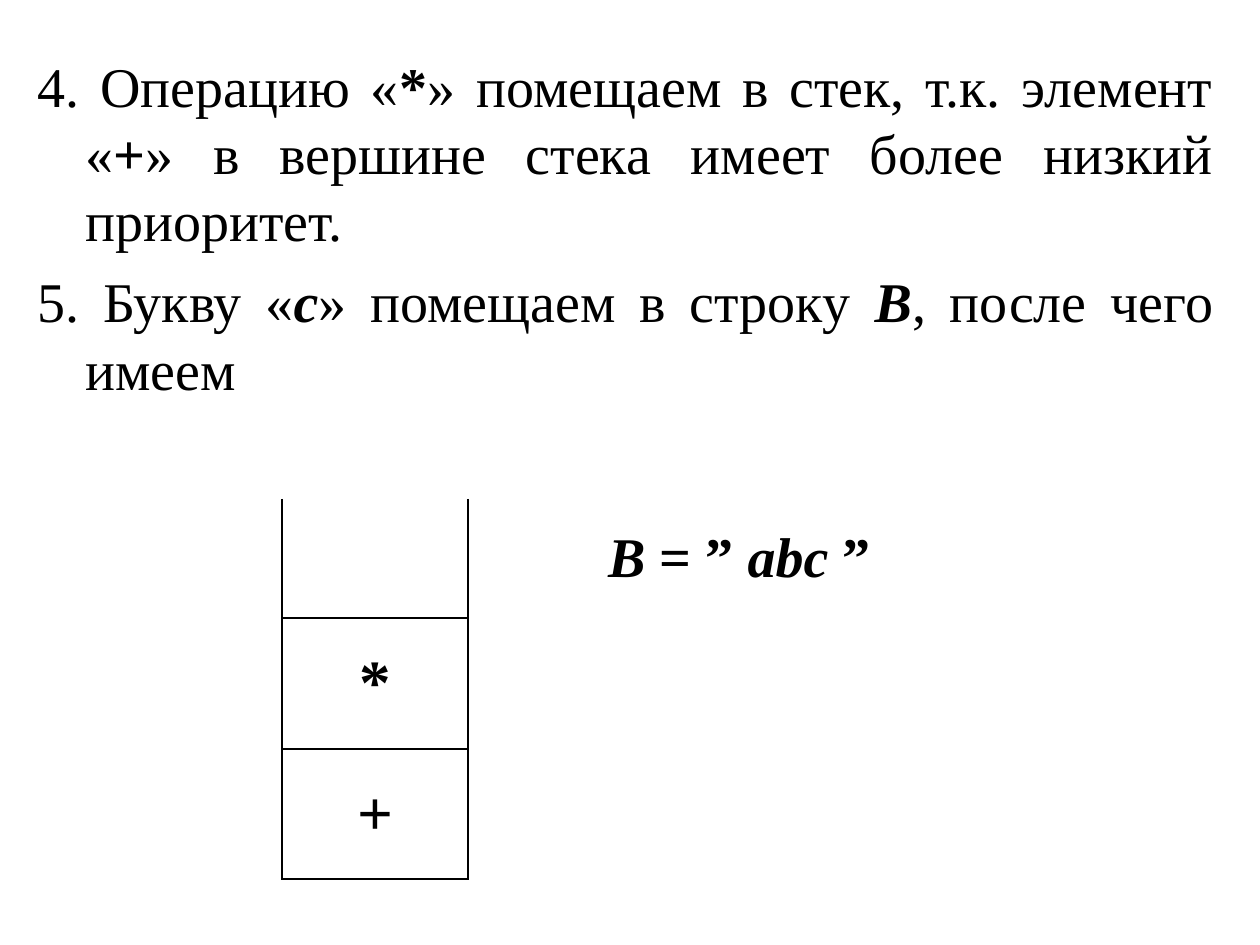
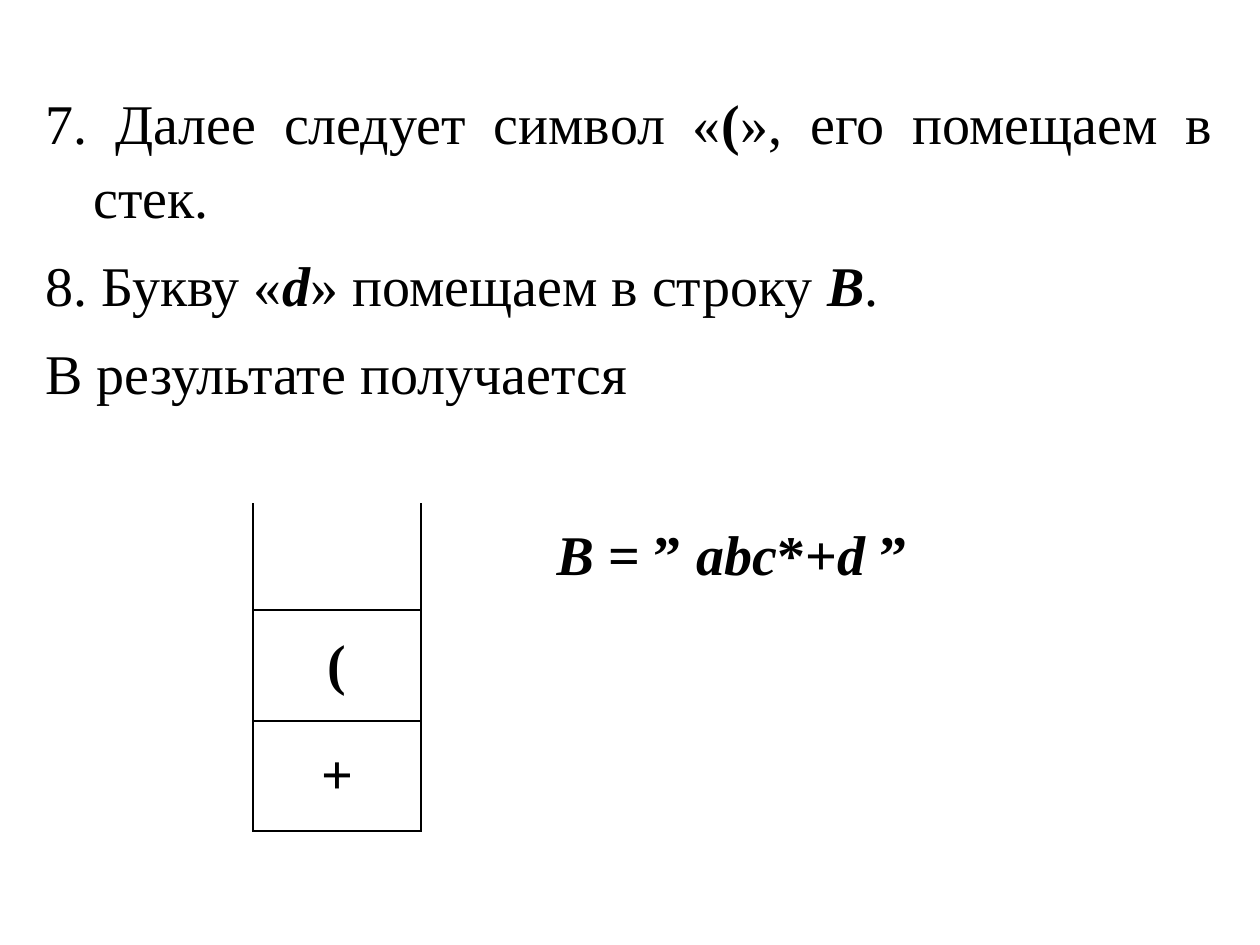
from dataclasses import dataclass

from lxml.etree import SubElement
from pptx import Presentation
from pptx.dml.color import RGBColor
from pptx.enum.text import MSO_ANCHOR, PP_ALIGN
from pptx.oxml.ns import qn
from pptx.util import Emu, Pt

PX = 914400 // 126
NO_STYLE = "{2D5ABB26-0587-4C30-8999-92F81FD0307C}"


@dataclass(frozen=True)
class Theme:
    """Colours, type sizes and spacing shared by the slides."""
    font: str = "Times New Roman"
    ink: str = "000000"
    size: int = 32
    space: int = 8
    indent: int = 48
    border: float = 1.08


T = Theme()

# A run is (text, style), where style holds "b" for bold and "i" for italic.
slides = [
    dict(
        text_box=(25, 45, 1201, 407), line_spacing=None,
        steps=[
            [("4. Операцию «", ""), ("*", "b"),
             ("» помещаем в стек, т.к. элемент «", ""), ("+", "b"),
             ("» в вершине стека имеет более низкий приоритет. ", "")],
            [("5. Букву «", ""), ("с", "bi"), ("» помещаем в строку ", ""),
             ("В", "bi"), (", после чего имеем", "")],
        ],
        origin=(282, 499), cols=(186, 557), rows=(119, 131, 130),
        result=[("В", "bi"), (" = ” ", "b"), ("abс ", "bi"), ("” ", "b")],
        stack=("*", "+"), stack_size=36, stack_space=9,
    ),
    dict(
        text_box=(33, 76, 1192, 397), line_spacing=1.1,
        steps=[
            [("7. Далее следует символ «", ""), ("(", "b"),
             ("», его помещаем в стек.", "")],
            [("8. Букву «", ""), ("d", "bi"), ("» помещаем в строку ", ""),
             ("В", "bi"), (".", "")],
            [("В результате получается", "")],
        ],
        origin=(253, 503), cols=(168, 636), rows=(107, 111, 110),
        result=[("В", "bi"), (" = ” ", "b"), ("abс", "bi"), ("*+", "b"),
                ("d ", "bi"), ("” ", "b")],
        stack=("(", "+"), stack_size=T.size, stack_space=T.space,
    ),
]


def write(p, runs, align, size=T.size, space=T.space):
    """Fill a paragraph with styled runs."""
    p.alignment = align
    p.space_before = Pt(space)
    p.font.name, p.font.size = T.font, Pt(size)
    p.font.color.rgb = RGBColor.from_string(T.ink)
    for text, style in runs:
        r = p.add_run()
        r.text = text
        r.font.name, r.font.size = T.font, Pt(size)
        r.font.color.rgb = RGBColor.from_string(T.ink)
        r.font.bold, r.font.italic = "b" in style, "i" in style


def draw_borders(cell, sides):
    """Line the given sides of a cell (L, R, T, B) and clear the others."""
    tcPr = cell._tc.get_or_add_tcPr()
    for side in "LRTB":
        ln = SubElement(tcPr, qn(f"a:ln{side}"), w=str(Pt(T.border)))
        if side in sides:
            fill = SubElement(ln, qn("a:solidFill"))
            SubElement(fill, qn("a:srgbClr"), val=T.ink)
        else:
            SubElement(ln, qn("a:noFill"))
    cell.fill.background()


prs = Presentation()
prs.slide_width, prs.slide_height = Emu(1260 * PX), Emu(945 * PX)

for d in slides:
    s = prs.slides.add_slide(prs.slide_layouts[6])

    # Steps of the algorithm
    tf = s.shapes.add_textbox(*(Emu(v * PX) for v in d["text_box"])).text_frame
    tf.word_wrap = True
    for i, runs in enumerate(d["steps"]):
        p = tf.add_paragraph() if i else tf.paragraphs[0]
        write(p, runs, PP_ALIGN.JUSTIFY)
        p.line_spacing = d["line_spacing"]
        pPr = p._p.get_or_add_pPr()
        pPr.set("marL", str(T.indent * PX))
        pPr.set("indent", str(-T.indent * PX))

    # Stack in the left column, resulting string at the top right
    cols, rows = d["cols"], d["rows"]
    box = (*d["origin"], sum(cols), sum(rows))
    table = s.shapes.add_table(len(rows), len(cols),
                               *(Emu(v * PX) for v in box)).table
    table.first_row = table.horz_banding = False
    table._tbl.tblPr.find(qn("a:tableStyleId")).text = NO_STYLE
    for col, width in zip(table.columns, cols):
        col.width = Emu(width * PX)
    for i, height in enumerate(rows):
        table.rows[i].height = Emu(height * PX)
        draw_borders(table.cell(i, 0), "LRTB" if i else "LRB")
        draw_borders(table.cell(i, 1), "L")
        for cell in table.rows[i].cells:
            cell.vertical_anchor = MSO_ANCHOR.MIDDLE

    write(table.cell(0, 1).text_frame.paragraphs[0], d["result"], PP_ALIGN.CENTER)
    for i, symbol in enumerate(d["stack"], 1):
        write(table.cell(i, 0).text_frame.paragraphs[0], [(symbol, "b")],
              PP_ALIGN.CENTER, d["stack_size"], d["stack_space"])

prs.save("out.pptx")
